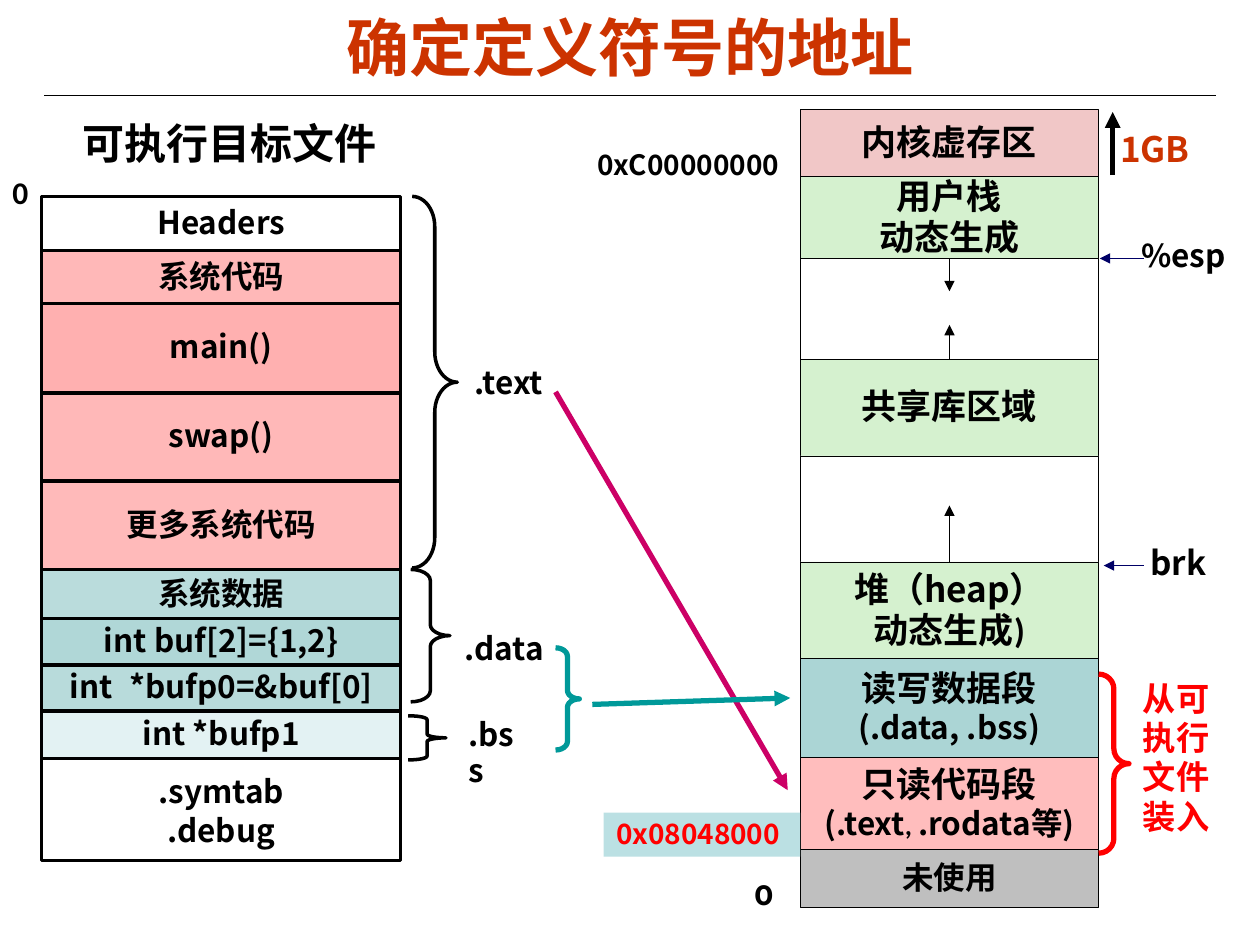
from dataclasses import dataclass
from typing import Optional

from lxml.etree import SubElement
from pptx import Presentation
from pptx.dml.color import RGBColor
from pptx.enum.shapes import MSO_CONNECTOR, MSO_SHAPE
from pptx.enum.text import MSO_ANCHOR, PP_ALIGN
from pptx.oxml.ns import qn
from pptx.util import Cm, Pt

BLACK = RGBColor(0x00, 0x00, 0x00)
WHITE = RGBColor(0xFF, 0xFF, 0xFF)
RED = RGBColor(0xFF, 0x00, 0x00)
RUST = RGBColor(0xCC, 0x33, 0x00)
NAVY = RGBColor(0x00, 0x00, 0x66)
MAGENTA = RGBColor(0xCC, 0x00, 0x66)
CYAN = RGBColor(0x00, 0x99, 0x99)
TEAL = RGBColor(0x00, 0x80, 0x80)
PALE_BLUE = RGBColor(0xBB, 0xE0, 0xE3)
PINK = RGBColor(0xF1, 0xC7, 0xC7)
GREEN = RGBColor(0xD5, 0xF1, 0xCF)
GRAY = RGBColor(0xBF, 0xBF, 0xBF)
SANS = "Noto Sans CJK SC"


@dataclass(frozen=True)
class Span:
    text: str
    size: Optional[float] = None
    font: Optional[str] = None


@dataclass(frozen=True)
class Section:
    height: float
    paragraphs: tuple
    fill: RGBColor
    opacity: int = 100
    size: float = 18
    spacing: float = 0.98


@dataclass(frozen=True)
class Label:
    text: str
    left: float
    top: float
    width: float
    height: float
    size: float = 18
    color: RGBColor = BLACK
    font: str = SANS
    spacing: float = 0.94
    margin: float = 0.25
    wrap: bool = False
    fill: Optional[RGBColor] = None


@dataclass(frozen=True)
class Brace:
    left: float
    top: float
    width: float
    height: float
    curve: float
    color: RGBColor = BLACK
    weight: float = 2


@dataclass(frozen=True)
class Arrow:
    start: tuple
    end: tuple
    color: RGBColor
    weight: float


FILE_SECTIONS = [
    Section(1.09, ("Headers",), WHITE),
    Section(1.07, ("系统代码",), RED, 28),
    Section(1.8, ("main()",), RED, 31, spacing=0.94),
    Section(1.78, ("swap()",), RED, 28, spacing=0.94),
    Section(1.78, ("更多系统代码",), RED, 27),
    Section(0.99, ("系统数据",), TEAL, 27),
    Section(0.94, ("int buf[2]={1,2}",), TEAL, 31, spacing=0.94),
    Section(0.92, (("int", Span(" ", 16, "Courier New"), "*bufp0=&buf[0]"),), TEAL, 28, spacing=0.94),
    Section(0.96, ("int *bufp1",), PALE_BLUE, 41),
    Section(2.06, (".symtab", ".debug"), WHITE, spacing=1.05),
]
MEMORY_SECTIONS = [
    Section(1.35, ("内核虚存区",), PINK, size=20),
    Section(1.65, ("用户栈", "动态生成"), GREEN, size=20),
    Section(2.03, (), WHITE),
    Section(1.95, ("共享库区域",), GREEN, size=20),
    Section(2.14, (), WHITE),
    Section(1.95, ("堆（heap）", ("动态生成", Span(")", font="Calibri"))), GREEN, size=20),
    Section(1.99, ("读写数据段", (Span("(.data, .bss)", 18),)), TEAL, 33, size=20),
    Section(1.85, ("只读代码段", (Span("(.text", 18), Span(", ", 16, "Calibri"), Span(".rodata等)", 18))),
            RED, 26, size=20),
    Section(1.17, ("未使用",), GRAY),
]
LABELS = [
    Label("%esp", 23.01, 4.7, 2.1, 0.97, margin=0),
    Label("brk", 22.94, 10.87, 1.63, 1.02, size=19),
    Label("0xC00000000", 11.79, 2.9, 4.34, 0.89, size=16),
    Label("0x08048000", 12.17, 16.38, 3.96, 0.89, size=16, color=RED, fill=PALE_BLUE),
    Label("0", 14.96, 17.6, 0.89, 0.91, size=16, font="Montserrat", spacing=0.98),
    Label("从可执行文件装入", 23.04, 13.59, 1.42, 3.4, size=19, color=RED, font="Calibri",
          spacing=0.98, margin=0, wrap=True),
    Label("1GB", 22.58, 2.44, 1.52, 1.09, size=20, color=RUST, spacing=1, margin=0, wrap=True),
    Label("可执行目标文件", 1.42, 2.29, 6.43, 1.24, size=24, font="Calibri", spacing=0.98),
    Label("0", 0, 3.4, 0.81, 1.02, font="Calibri", spacing=0.98),
    Label(".text", 9.32, 7.26, 1.96, 0.97),
    Label(".data", 9.12, 12.62, 2.11, 0.97),
    Label(".bss", 9.19, 14.35, 1.73, 0.97, wrap=True),
]
BRACES = [
    Brace(8.31, 3.96, 0.91, 7.49, 0.67),
    Brace(8.28, 11.48, 0.79, 2.67, 0.28),
    Brace(8.23, 14.43, 0.76, 0.89, 0.1),
    Brace(22.15, 13.59, 0.61, 3.61, 0.49, RED, 3),
    Brace(11.2, 13.06, 0.48, 2.06, 0.36, CYAN, 3),
]
ARROWS = [
    Arrow((23.06, 5.21), (22.17, 5.21), NAVY, 0.25),
    Arrow((23.06, 11.4), (22.25, 11.4), NAVY, 0.25),
    Arrow((22.43, 3.53), (22.43, 2.26), BLACK, 3),
    Arrow((11.2, 7.9), (15.88, 15.93), MAGENTA, 3),
    Arrow((11.94, 14.2), (15.93, 14.07), CYAN, 3),
]


def write(box, *paragraphs, size, color=BLACK, font=SANS, align=PP_ALIGN.LEFT,
          anchor=MSO_ANCHOR.TOP, spacing=1.0, margin=0.25, wrap=False) -> None:
    frame = box.text_frame
    frame.word_wrap = wrap
    frame.vertical_anchor = anchor
    frame.margin_left = frame.margin_right = Cm(margin)
    frame.margin_top = frame.margin_bottom = Cm(0.13)
    for index, content in enumerate(paragraphs):
        para = frame.add_paragraph() if index else frame.paragraphs[0]
        para.alignment = align
        para.line_spacing = spacing
        for piece in (content,) if isinstance(content, str) else content:
            span = Span(piece) if isinstance(piece, str) else piece
            run = para.add_run()
            run.text = span.text
            run.font.size = Pt(span.size or size)
            run.font.bold = True
            run.font.color.rgb = color
            run.font.name = span.font or font
            SubElement(run.font._element, qn("a:ea"), typeface=SANS)


def draw_column(page, sections: list, left: float, top: float, width: float, weight: float) -> list:
    boxes = []
    for section in sections:
        box = page.shapes.add_shape(MSO_SHAPE.RECTANGLE, Cm(left), Cm(top), Cm(width), Cm(section.height))
        box.shadow.inherit = False
        box.fill.solid()
        box.fill.fore_color.rgb = section.fill
        if section.opacity < 100:
            color = box.fill._xPr.find(qn("a:solidFill")).find(qn("a:srgbClr"))
            SubElement(color, qn("a:alpha"), val=str(section.opacity * 1000))
        box.line.color.rgb = BLACK
        box.line.width = Pt(weight)
        write(box, *section.paragraphs, size=section.size, align=PP_ALIGN.CENTER,
              anchor=MSO_ANCHOR.MIDDLE, spacing=section.spacing)
        boxes.append(box)
        top += section.height
    return boxes


def draw_label(page, label: Label) -> None:
    box = page.shapes.add_textbox(Cm(label.left), Cm(label.top), Cm(label.width), Cm(label.height))
    if label.fill is not None:
        box.fill.solid()
        box.fill.fore_color.rgb = label.fill
    write(box, label.text, size=label.size, color=label.color, font=label.font,
          spacing=label.spacing, margin=label.margin, wrap=label.wrap)


def draw_brace(page, brace: Brace) -> None:
    shape = page.shapes.add_shape(MSO_SHAPE.RIGHT_BRACE, Cm(brace.left), Cm(brace.top),
                                  Cm(brace.width), Cm(brace.height))
    shape.shadow.inherit = False
    shape.adjustments[0] = brace.curve
    shape.fill.background()
    shape.line.color.rgb = brace.color
    shape.line.width = Pt(brace.weight)


def draw_line(page, start: tuple, end: tuple, color: RGBColor, weight: float, head: bool = True):
    line = page.shapes.add_connector(MSO_CONNECTOR.STRAIGHT, *map(Cm, start + end))
    line.line.color.rgb = color
    line.line.width = Pt(weight)
    if head:
        SubElement(line.line._get_or_add_ln(), qn("a:tailEnd"), type="triangle")
    SubElement(line._element.spPr, qn("a:effectLst"))
    return line


def draw_growth(page, box, side: int, length: float) -> None:
    middle = (box.left + box.width / 2) / Cm(1)
    edge = (box.top + (box.height if side == 2 else 0)) / Cm(1)
    line = draw_line(page, (middle, edge), (middle, edge + length), BLACK, 0.25)
    line.begin_connect(box, side)


def main() -> None:
    deck = Presentation()
    deck.slide_width, deck.slide_height = Cm(25.4), Cm(19.05)
    page = deck.slides.add_slide(deck.slide_layouts[5])
    title = page.shapes.title
    title.left, title.top, title.width, title.height = Cm(1.27), Cm(0.15), Cm(22.86), Cm(1.55)
    write(title, "确定定义符号的地址", size=36, color=RUST, font="Arial",
          align=PP_ALIGN.CENTER, anchor=MSO_ANCHOR.MIDDLE, wrap=True)
    draw_line(page, (0.89, 1.93), (24.51, 1.93), BLACK, 0.75, head=False)

    draw_column(page, FILE_SECTIONS, 0.84, 3.96, 7.24, 2)
    memory = draw_column(page, MEMORY_SECTIONS, 16.13, 2.21, 6.02, 0.25)
    for index, side, length in ((1, 2, 0.66), (3, 0, -0.69), (5, 0, -1.14)):
        draw_growth(page, memory[index], side, length)
    for label in LABELS:
        draw_label(page, label)
    for brace in BRACES:
        draw_brace(page, brace)
    for arrow in ARROWS:
        draw_line(page, arrow.start, arrow.end, arrow.color, arrow.weight)
    deck.save("out.pptx")


if __name__ == "__main__":
    main()
